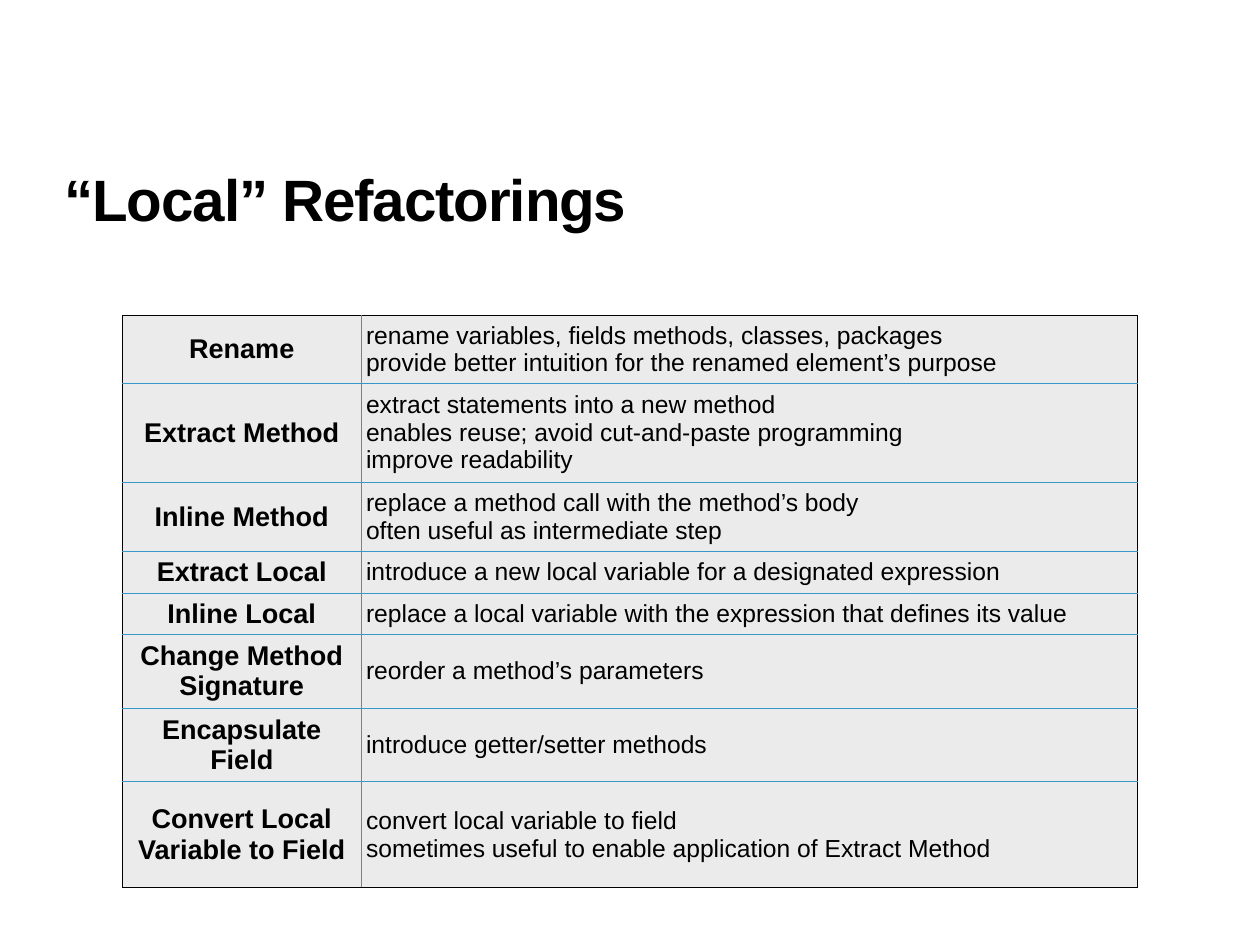
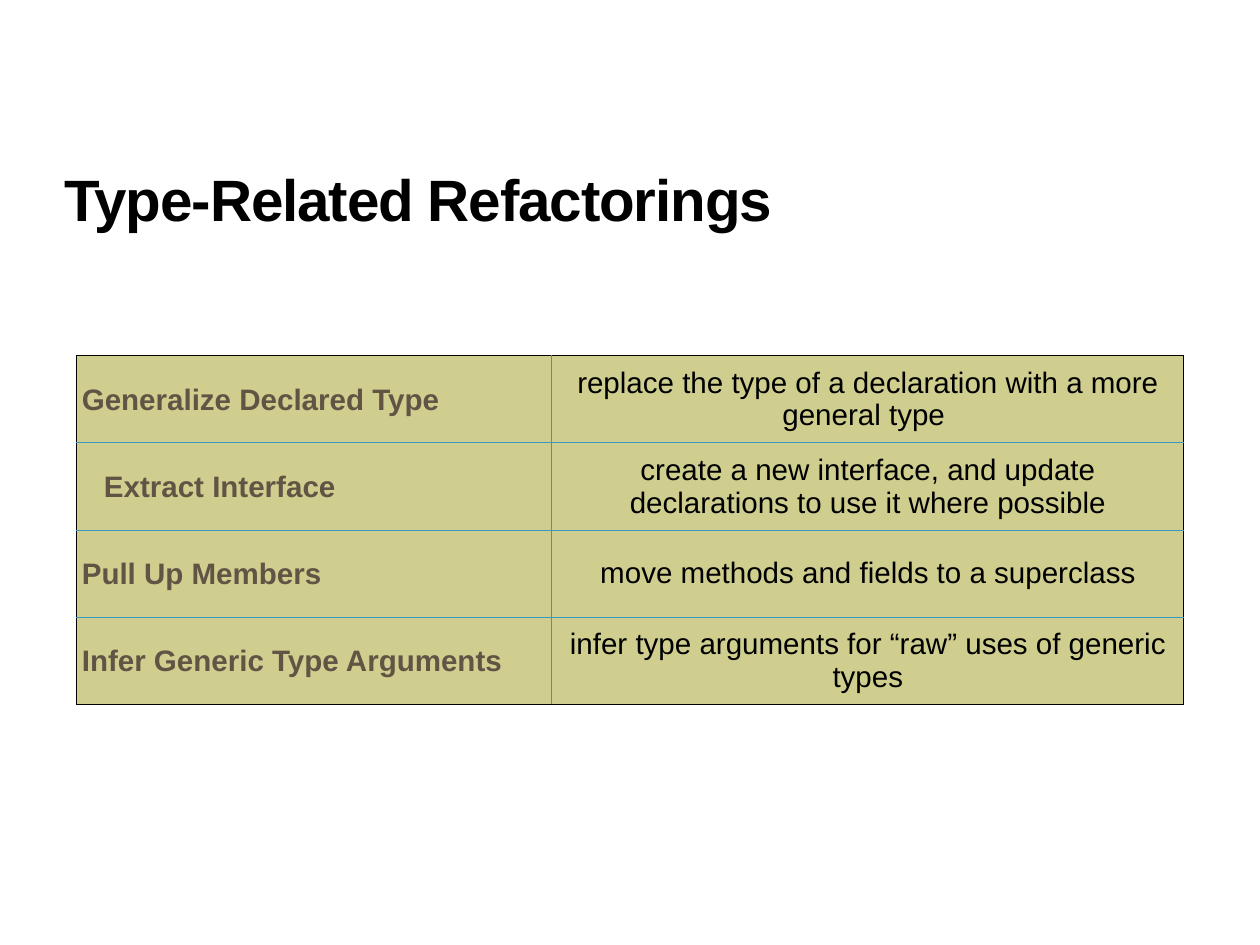
"""Build two slides of refactoring tables."""
from dataclasses import dataclass

import pptx
import pptx.dml.color
import pptx.enum.text
import pptx.oxml
import pptx.oxml.ns
import pptx.presentation
import pptx.slide
import pptx.table
import pptx.text.text
import pptx.util

Pt = pptx.util.Pt
Align = pptx.enum.text.PP_ALIGN
Middle = pptx.enum.text.MSO_ANCHOR.MIDDLE


@dataclass(frozen=True)
class Theme:
    font: str = "Arial"
    ink: str = "000000"
    brown: str = "615445"
    blue: str = "3797C6"
    pale: str = "EBEBEB"
    moss: str = "929000"
    title: float = 47.4
    large: float = 24
    name: float = 22
    note: float = 20


THEME = Theme()


@dataclass(frozen=True)
class Style:
    size: float
    ink: str = THEME.ink
    bold: bool = False
    align: Align = Align.LEFT
    space: float | None = None


@dataclass(frozen=True)
class Row:
    name: str
    note: str
    height: float = 70.9
    indent: float = 0


@dataclass(frozen=True)
class Grid:
    title: str
    left: float
    top: float
    widths: tuple[float, float]
    styles: tuple[Style, Style]
    fill: str
    alpha: int
    rows: tuple[Row, ...]


LOCAL = Grid(
    "“Local” Refactorings", 99.5, 256.5, (194, 631),
    (Style(THEME.name, bold=True, align=Align.CENTER), Style(THEME.note)),
    THEME.pale, 100,
    (
        Row("Rename", "rename variables, fields methods, classes, packages\n"
            "provide better intuition for the renamed element’s purpose", 55),
        Row("Extract Method", "extract statements into a new method\n"
            "enables reuse; avoid cut-and-paste programming\n"
            "improve readability", 80.5),
        Row("Inline Method", "replace a method call with the method’s body\n"
            "often useful as intermediate step", 56),
        Row("Extract Local",
            "introduce a new local variable for a designated expression", 34),
        Row("Inline Local",
            "replace a local variable with the expression that defines its value",
            33.5),
        Row("Change Method Signature", "reorder a method’s parameters", 60),
        Row("Encapsulate Field", "introduce getter/setter methods", 60),
        Row("Convert Local Variable to Field", "convert local variable to field\n"
            "sometimes useful to enable application of Extract Method", 86),
    ),
)

TYPES = Grid(
    "Type-Related Refactorings", 62.5, 289, (386, 513.5),
    (Style(THEME.large, THEME.brown, True, space=1.04),
     Style(THEME.large, align=Align.CENTER)),
    THEME.moss, 44,
    (
        Row("Generalize Declared Type",
            "replace the type of a declaration with a more general type "),
        Row("Extract Interface",
            "create a new interface, and update declarations to use it where possible",
            indent=18),
        Row("Pull Up Members", "move methods and fields to a superclass"),
        Row("Infer Generic Type Arguments",
            "infer type arguments for “raw” uses of generic types"),
    ),
)


def write(frame: pptx.text.text.TextFrame, text: str, *, style: Style,
          indent: float = 0, track: int = 0) -> None:
    """Set one formatted paragraph in a text frame."""
    para = frame.paragraphs[0]
    para.text = text
    para.alignment = style.align
    para.line_spacing = style.space
    if indent:
        para._p.get_or_add_pPr().set("indent", str(Pt(indent)))
    for run in para.runs:
        font = run.font
        font.name, font.size, font.bold = THEME.font, Pt(style.size), style.bold
        font.color.rgb = pptx.dml.color.RGBColor.from_string(style.ink)
        if track:
            run._r.get_or_add_rPr().set("spc", str(track))


def shade(cell: pptx.table._Cell, fill: str, alpha: int) -> None:
    """Fill a cell with a solid, possibly sheer, colour."""
    cell.fill.solid()
    cell.fill.fore_color.rgb = pptx.dml.color.RGBColor.from_string(fill)
    if alpha < 100:
        tint = cell._tc.tcPr.find(pptx.oxml.ns.qn("a:solidFill"))[0]
        tint.append(pptx.oxml.parse_xml(
            f'<a:alpha {pptx.oxml.ns.nsdecls("a")} val="{alpha * 1000}"/>'))


def edge(cell: pptx.table._Cell, inks: dict[str, str]) -> None:
    """Draw the four sides of a cell."""
    props = cell._tc.get_or_add_tcPr()
    for side, ink in inks.items():
        props.append(pptx.oxml.parse_xml(
            f'<a:ln{side} {pptx.oxml.ns.nsdecls("a")} w="{Pt(1)}">'
            f'<a:solidFill><a:srgbClr val="{ink}"/></a:solidFill></a:ln{side}>'))


def head(slide: pptx.slide.Slide, text: str) -> None:
    """Add the slide title."""
    frame = slide.shapes.add_textbox(Pt(50.4), Pt(141), Pt(922), Pt(60.5)).text_frame
    frame.word_wrap = True
    frame.vertical_anchor = Middle
    frame.margin_left = frame.margin_right = frame.margin_top = Pt(2)
    frame.margin_bottom = Pt(11.8)
    write(frame, text, style=Style(THEME.title, bold=True, space=0.8), track=-90)


def draw(deck: pptx.presentation.Presentation, grid: Grid) -> None:
    """Add one slide with a title and its table."""
    slide = deck.slides.add_slide(deck.slide_layouts[6])
    head(slide, grid.title)
    table = slide.shapes.add_table(
        len(grid.rows), 2, Pt(grid.left), Pt(grid.top), Pt(sum(grid.widths)),
        Pt(sum(row.height for row in grid.rows))).table
    table.first_row = table.horz_banding = False
    for col, width in zip(table.columns, grid.widths):
        col.width = Pt(width)
    rules = [THEME.ink, *[THEME.blue] * (len(grid.rows) - 1), THEME.ink]
    walls = (THEME.ink, THEME.blue, THEME.ink)
    for y, row in enumerate(grid.rows):
        table.rows[y].height = Pt(row.height)
        for x, text in enumerate((row.name, row.note)):
            cell = table.cell(y, x)
            cell.vertical_anchor = Middle
            cell.margin_left = cell.margin_right = Pt(4)
            cell.margin_top = cell.margin_bottom = Pt(2.5)
            write(cell.text_frame, text, style=grid.styles[x],
                  indent=0 if x else row.indent)
            edge(cell, {"L": walls[x], "R": walls[x + 1],
                        "T": rules[y], "B": rules[y + 1]})
            shade(cell, grid.fill, grid.alpha)


def main() -> None:
    """Build and save the deck."""
    deck = pptx.Presentation()
    deck.slide_width, deck.slide_height = Pt(1024), Pt(768)
    for grid in (LOCAL, TYPES):
        draw(deck, grid)
    deck.save("out.pptx")


if __name__ == "__main__":
    main()
